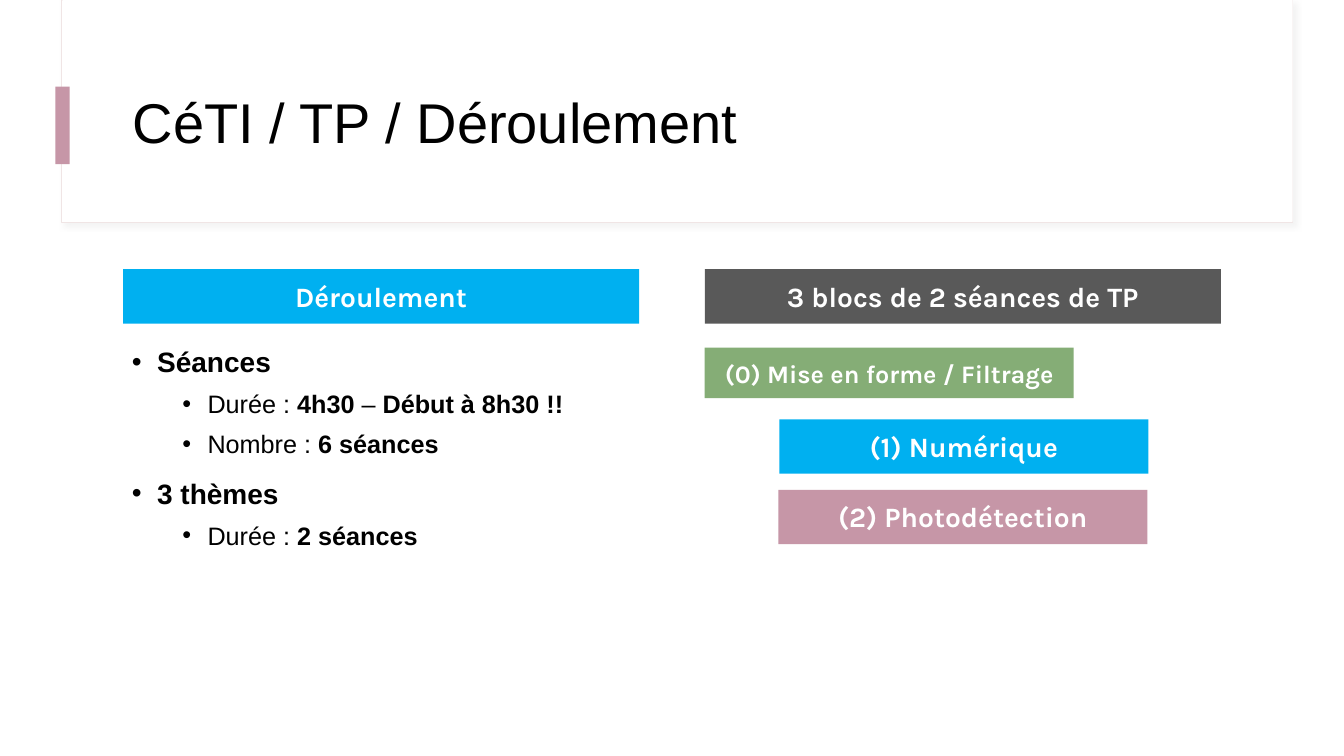
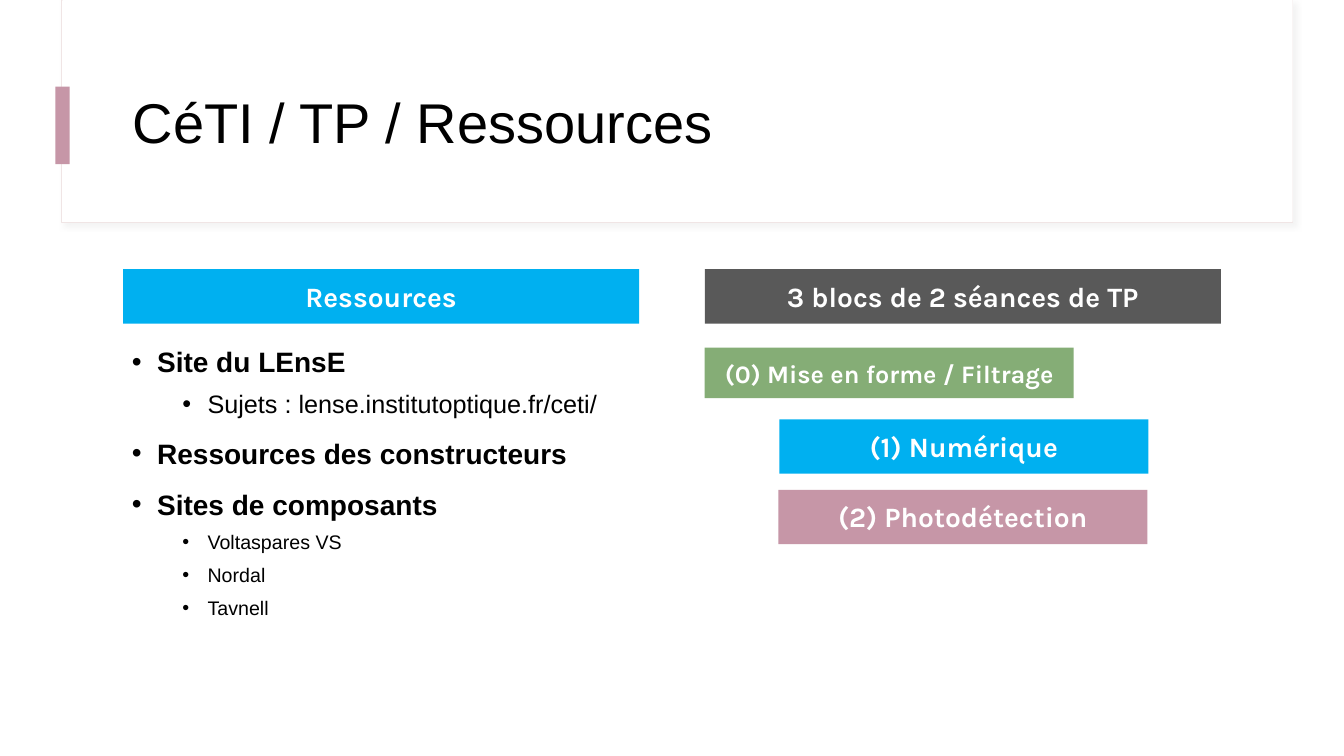
from lxml.etree import SubElement
from pptx import Presentation
from pptx.dml.color import RGBColor
from pptx.enum.shapes import MSO_SHAPE as Shape
from pptx.enum.text import MSO_ANCHOR as Anchor, PP_ALIGN as Align
from pptx.oxml.ns import qn
from pptx.util import Inches, Pt

COLORS = {
    "white": "FFFFFF", "black": "000000", "frame": "F0E5E5", "shadow": "D9D9D9",
    "rose": "C696A7", "gray": "595959", "green": "85AD76", "blue": "00B0F0",
}
TITLE_FONT, LABEL_FONT = "Arial", "Karla"

SLIDES = [
    {
        "title": "CéTI / TP / Déroulement",
        "heading": "Déroulement",
        "points": [
            (0, 20, [("Séances", True)]),
            (1, 18, [("Durée : ", False), ("4h30", True), (" – ", False),
                     ("Début à 8h30 !!", True)]),
            (1, 18, [("Nombre : ", False), ("6 séances", True)]),
            (0, 20, [("3 thèmes", True)]),
            (1, 18, [("Durée : ", False), ("2 séances", True)]),
        ],
    },
    {
        "title": "CéTI / TP / Ressources",
        "heading": "Ressources",
        "points": [
            (0, 20, [("Site du LEnsE", True)]),
            (1, 18, [("Sujets : lense.institutoptique.fr/ceti/", False)]),
            (0, 20, [("Ressources des constructeurs", True)]),
            (0, 20, [("Sites de composants", True)]),
            (1, 14, [("Voltaspares VS", False)]),
            (1, 14, [("Nordal", False)]),
            (1, 14, [("Tavnell", False)]),
        ],
    },
]

BLOCKS_HEADING = "3 blocs de 2 séances de TP"
BLOCKS = [
    ("(0) Mise en forme / Filtrage", "green", 6.99, 3.45, 0.5, 18),
    ("(1) Numérique", "blue", 7.73, 4.16, 0.54, 20),
    ("(2) Photodétection", "rose", 7.72, 4.86, 0.54, 20),
]
LEFT_COLUMN, RIGHT_COLUMN, COLUMN_WIDTH, BLOCK_WIDTH = 1.22, 6.99, 5.12, 3.66
HEADING_TOP, HEADING_HEIGHT = 2.67, 0.54
LEVELS = [{"indent": 0.25, "before": 10}, {"indent": 0.75, "before": 5}]


def rgb(name):
    return RGBColor.from_string(COLORS[name])


def write(box, points, font=TITLE_FONT, color="black", align=Align.LEFT,
          anchor=Anchor.TOP, spacing=1.0, inset=0.05, bullets=False):
    frame = box.text_frame
    frame.word_wrap = True
    frame.vertical_anchor = anchor
    frame.margin_left = frame.margin_right = Inches(0.1)
    frame.margin_top = frame.margin_bottom = Inches(inset)
    for index, (level, size, runs) in enumerate(points):
        paragraph = frame.add_paragraph() if index else frame.paragraphs[0]
        paragraph.level = level
        paragraph.alignment = align
        paragraph.line_spacing = spacing
        paragraph.space_before = Pt(LEVELS[level]["before"] if index else 0)
        if bullets:
            properties = paragraph._p.get_or_add_pPr()
            properties.set("marL", str(Inches(LEVELS[level]["indent"])))
            properties.set("indent", str(Inches(-0.25)))
            SubElement(properties, qn("a:buFont"), typeface="Arial")
            SubElement(properties, qn("a:buChar"), char="•")
        for words, bold in runs:
            run = paragraph.add_run()
            run.text = words
            run.font.size = Pt(size)
            run.font.name = font
            run.font.bold = bold
            run.font.color.rgb = rgb(color)


def add_band(slide, color, left, top, width, height, line=None):
    band = slide.shapes.add_shape(
        Shape.RECTANGLE, Inches(left), Inches(top), Inches(width), Inches(height))
    band.shadow.inherit = False
    band.fill.solid()
    band.fill.fore_color.rgb = rgb(color)
    if line:
        band.line.color.rgb = rgb(line)
        band.line.width = Pt(0.75)
    else:
        band.line.fill.background()
    return band


def add_label(slide, words, color, left, top, width, height, size=20):
    write(add_band(slide, color, left, top, width, height), [(0, size, [(words, True)])],
          font=LABEL_FONT, color="white", align=Align.CENTER, inset=0.1)


def add_text(slide, left, top, width, height, points, **style):
    box = slide.shapes.add_textbox(
        Inches(left), Inches(top), Inches(width), Inches(height))
    write(box, points, **style)


def add_shadow(band):
    effects = band._element.spPr.find(qn("a:effectLst"))
    shadow = SubElement(effects, qn("a:outerShdw"), blurRad=str(Pt(4)),
                        dist=str(Pt(3)), dir=str(45 * 60000), rotWithShape="0")
    tint = SubElement(shadow, qn("a:srgbClr"), val=COLORS["shadow"])
    SubElement(tint, qn("a:alpha"), val="30000")


def add_header(slide, title):
    add_shadow(add_band(slide, "white", 0.61, 0, 12.21, 2.21, line="frame"))
    add_band(slide, "white", 0.62, 0, 12.2, 2.2)
    add_band(slide, "rose", 0.55, 0.86, 0.14, 0.77)
    add_text(slide, LEFT_COLUMN, 0.6, 11.12, 1.29, [(0, 40, [(title, False)])],
             anchor=Anchor.MIDDLE, spacing=0.9)


def add_blocks(slide):
    add_label(slide, BLOCKS_HEADING, "gray", RIGHT_COLUMN, HEADING_TOP,
              COLUMN_WIDTH, HEADING_HEIGHT)
    for words, color, left, top, height, size in BLOCKS:
        add_label(slide, words, color, left, top, BLOCK_WIDTH, height, size)


def main():
    deck = Presentation()
    deck.slide_width, deck.slide_height = Inches(13.33), Inches(7.5)
    for content in SLIDES:
        slide = deck.slides.add_slide(deck.slide_layouts[6])
        add_header(slide, content["title"])
        add_label(slide, content["heading"], "blue", LEFT_COLUMN, HEADING_TOP,
                  COLUMN_WIDTH, HEADING_HEIGHT)
        add_text(slide, 1.21, 3.34, COLUMN_WIDTH, 4.04, content["points"],
                 spacing=1.1, bullets=True)
        add_blocks(slide)
    deck.save("out.pptx")


if __name__ == "__main__":
    main()
